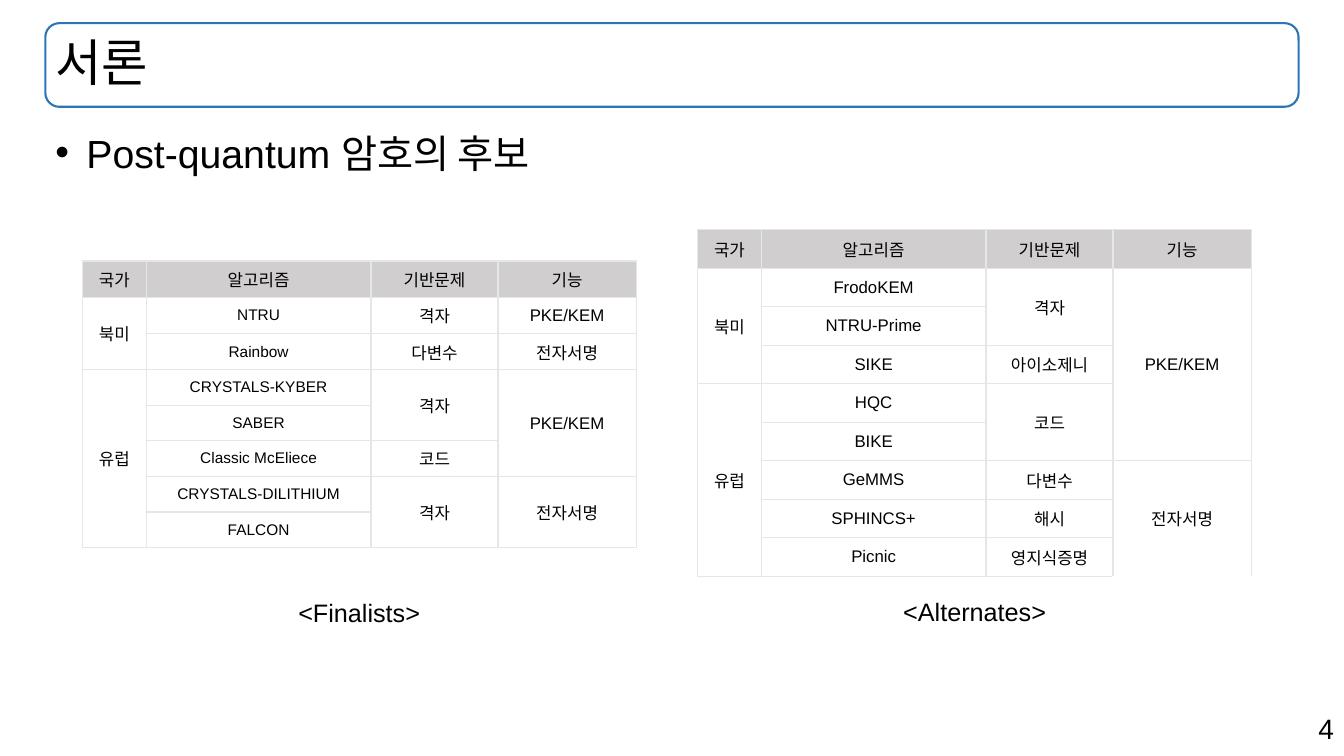
import pptx
import pptx.util
import pptx.dml.color
import pptx.enum.shapes
import pptx.enum.text
import pptx.oxml
import pptx.oxml.ns
from pptx.util import Inches

BLACK = pptx.dml.color.RGBColor(0x00, 0x00, 0x00)
BLUE = pptx.dml.color.RGBColor(0x2E, 0x75, 0xB6)
HEADER_GRAY = pptx.dml.color.RGBColor(0xD0, 0xCE, 0xCE)
BORDER_GRAY = pptx.dml.color.RGBColor(0xE7, 0xE6, 0xE6)
FONT = "Arial"
ALIGN = pptx.enum.text.PP_ALIGN
MIDDLE = pptx.enum.text.MSO_ANCHOR.MIDDLE

TITLE = "서론"
TITLE_FRAME = (0.45, 0.23, 12.43, 0.83)
BULLET = "Post-quantum 암호의 후보"
PAGE_NUMBER = "4"
COLUMN_WIDTHS = (0.63, 2.23, 1.26, 1.37)
HEADER = ("국가", "알고리즘", "기반문제", "기능")

# An empty string continues the cell above.
FINALISTS = {
    "place": (0.82, 2.59),
    "heights": (0.36, 0.36, 0.36, 0.35, 0.35, 0.36, 0.35, 0.35),
    "algorithm_size": 11,
    "open_bottom": False,
    "rows": [
        ("북미", "NTRU", "격자", "PKE/KEM"),
        ("", "Rainbow", "다변수", "전자서명"),
        ("유럽", "CRYSTALS-KYBER", "격자", "PKE/KEM"),
        ("", "SABER", "", ""),
        ("", "Classic McEliece", "코드", ""),
        ("", "CRYSTALS-DILITHIUM", "격자", "전자서명"),
        ("", "FALCON", "", ""),
    ],
}
ALTERNATES = {
    "place": (6.92, 2.28),
    "heights": (0.382,) * 9,
    "algorithm_size": 12,
    "open_bottom": True,
    "rows": [
        ("북미", "FrodoKEM", "격자", "PKE/KEM"),
        ("", "NTRU-Prime", "", ""),
        ("", "SIKE", "아이소제니", ""),
        ("유럽", "HQC", "코드", ""),
        ("", "BIKE", "", ""),
        ("", "GeMMS", "다변수", "전자서명"),
        ("", "SPHINCS+", "해시", ""),
        ("", "Picnic", "영지식증명", ""),
    ],
}
CAPTIONS = [
    ("<Finalists>", (2.86, 5.88, 1.42, 0.4)),
    ("<Alternates>", (8.86, 5.87, 1.63, 0.4)),
]


def write(frame, text, size, align=ALIGN.LEFT):
    frame.text = text
    para = frame.paragraphs[0]
    para.alignment = align
    font = para.runs[0].font
    font.name = FONT
    font.size = pptx.util.Pt(size)
    font.color.rgb = BLACK
    return para


def add_text(page, text, place, size, align=ALIGN.LEFT, wrap=True):
    box = page.shapes.add_textbox(*map(Inches, place))
    box.text_frame.word_wrap = wrap
    return write(box.text_frame, text, size, align)


def add_title(page):
    outline = page.shapes.add_shape(
        pptx.enum.shapes.MSO_SHAPE.ROUNDED_RECTANGLE, *map(Inches, TITLE_FRAME))
    outline.shadow.inherit = False
    outline.fill.background()
    outline.line.color.rgb = BLUE
    outline.line.width = pptx.util.Pt(1.5)
    title = page.shapes.title
    title.left, title.top, title.width, title.height = map(Inches, TITLE_FRAME)
    title.text_frame.auto_size = pptx.enum.text.MSO_AUTO_SIZE.NONE
    title.text_frame.vertical_anchor = MIDDLE
    write(title.text_frame, TITLE, 36).line_spacing = 0.9


def add_bullet(page):
    para = add_text(page, BULLET, (0.45, 1.23, 12.43, 0.57), 28)
    properties = para._p.get_or_add_pPr()
    properties.set("marL", str(Inches(0.31)))
    properties.set("indent", str(-Inches(0.31)))
    namespace = pptx.oxml.ns.nsdecls("a")
    properties.append(pptx.oxml.parse_xml(f'<a:buFont {namespace} typeface="{FONT}"/>'))
    properties.append(pptx.oxml.parse_xml(f'<a:buChar {namespace} char="•"/>'))


def add_borders(cell, sides):
    properties = cell._tc.get_or_add_tcPr()
    for side in sides:
        properties.append(pptx.oxml.parse_xml(
            f'<a:ln{side} {pptx.oxml.ns.nsdecls("a")} w="12700"><a:solidFill>'
            f'<a:srgbClr val="{BORDER_GRAY}"/></a:solidFill></a:ln{side}>'))


def add_candidates(page, content):
    rows = [HEADER] + content["rows"]
    left, top = content["place"]
    table = page.shapes.add_table(
        len(rows), len(HEADER), Inches(left), Inches(top),
        Inches(sum(COLUMN_WIDTHS)), Inches(sum(content["heights"]))).table
    table.first_row = table.horz_banding = False
    for column, width in zip(table.columns, COLUMN_WIDTHS):
        column.width = Inches(width)
    for row, height in zip(table.rows, content["heights"]):
        row.height = Inches(height)
    for c in range(len(HEADER)):
        starts = [r for r, row in enumerate(rows) if row[c]]
        for start, end in zip(starts, starts[1:] + [len(rows)]):
            is_open = content["open_bottom"] and c == len(HEADER) - 1 and end == len(rows)
            for r in range(start, end):
                cell = table.cell(r, c)
                add_borders(cell, "LRT" if is_open else "LRTB")
                if r == 0:
                    cell.fill.solid()
                    cell.fill.fore_color.rgb = HEADER_GRAY
                else:
                    cell.fill.background()
            origin = table.cell(start, c)
            if end - start > 1:
                origin.merge(table.cell(end - 1, c))
            origin.vertical_anchor = MIDDLE
            size = content["algorithm_size"] if c == 1 and start > 0 else 12
            write(origin.text_frame, rows[start][c], size, ALIGN.CENTER)


def main():
    deck = pptx.Presentation()
    deck.slide_width, deck.slide_height = Inches(13.33), Inches(7.5)
    page = deck.slides.add_slide(deck.slide_layouts[5])
    add_text(page, PAGE_NUMBER, (9.43, 7.01, 3.9, 0.44), 20, ALIGN.RIGHT)
    add_title(page)
    for content in (FINALISTS, ALTERNATES):
        add_candidates(page, content)
    for text, place in CAPTIONS:
        add_text(page, text, place, 18, wrap=False)
    add_bullet(page)
    deck.save("out.pptx")


if __name__ == "__main__":
    main()
